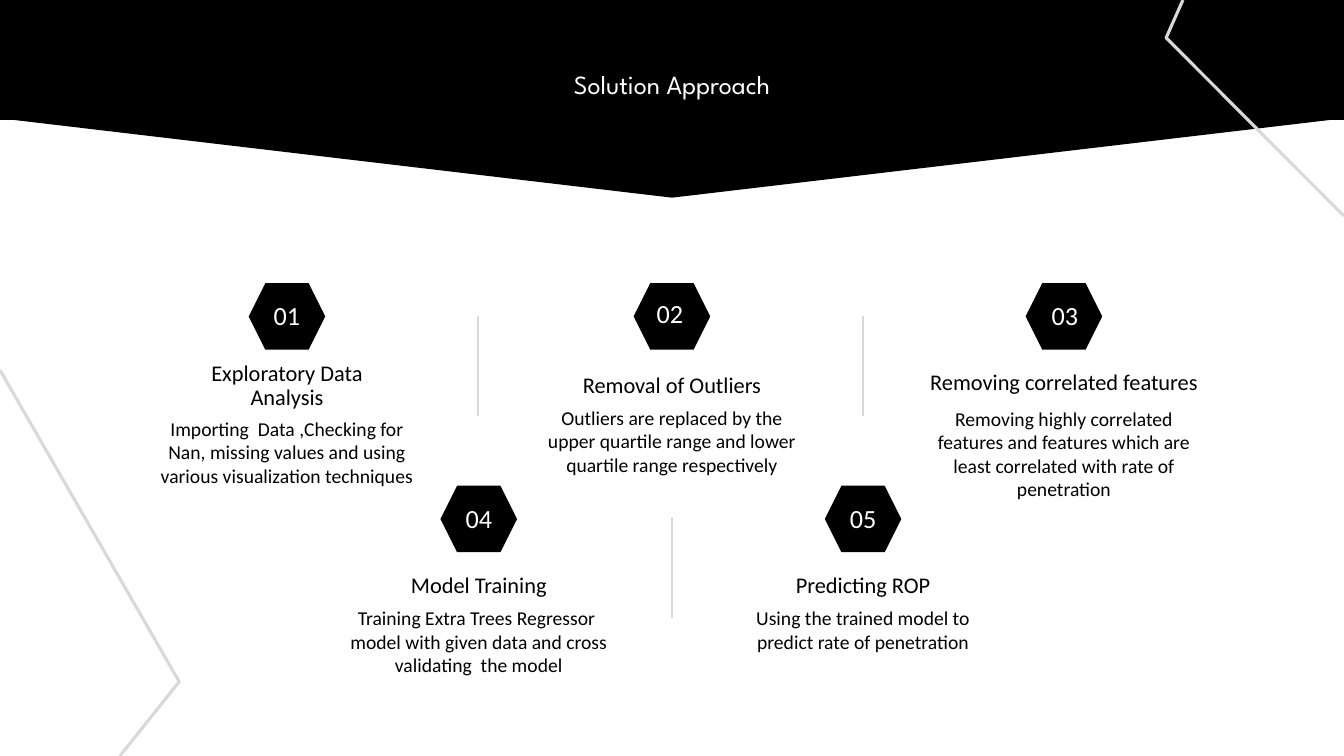
from dataclasses import dataclass

from lxml import etree
from pptx import Presentation
from pptx.dml.color import RGBColor
from pptx.enum.shapes import MSO_CONNECTOR, MSO_SHAPE
from pptx.enum.text import MSO_ANCHOR, MSO_AUTO_SIZE, PP_ALIGN
from pptx.oxml.ns import qn
from pptx.util import Pt

CENTER = PP_ALIGN.CENTER
TOP, MIDDLE = MSO_ANCHOR.TOP, MSO_ANCHOR.MIDDLE
NO_AUTOFIT = MSO_AUTO_SIZE.NONE
STRAIGHT = MSO_CONNECTOR.STRAIGHT
RECTANGLE, HEXAGON = MSO_SHAPE.RECTANGLE, MSO_SHAPE.HEXAGON
TRIANGLE = MSO_SHAPE.ISOSCELES_TRIANGLE


@dataclass(frozen=True)
class Theme:
    black: RGBColor = RGBColor(0, 0, 0)
    white: RGBColor = RGBColor(255, 255, 255)
    grey: RGBColor = RGBColor(0xD9, 0xD9, 0xD9)
    title_font: str = "League Spartan"
    text_font: str = "Calibri"
    title_size: float = 18.7
    heading_size: float = 16
    body_size: float = 14
    inset: float = 9.6
    divider_width: float = 1.5
    outline_width: float = 2.25


THEME = Theme()
PAGE_WIDTH, PAGE_HEIGHT = 960, 540


@dataclass(frozen=True)
class Step:
    """One numbered step; gaps run from the top of its hexagon."""
    center: float
    top: float
    heading: str
    body: str
    heading_gap: float = 41.8
    body_gap: float = 76.5
    number_gap: float = 8.6
    number_shift: float = 0
    heading_width: float = 168


STEPS = (
    Step(205, 202.3, "Exploratory Data Analysis",
         "Importing  Data ,Checking for Nan, missing values and using "
         "various visualization techniques",
         heading_gap=43.2, body_gap=85.7),
    Step(480, 202.3, "Removal of Outliers",
         "Outliers are replaced by the upper quartile range and lower "
         "quartile range respectively",
         heading_gap=43.2, body_gap=77.8, number_gap=7.2, number_shift=-1.5),
    Step(760, 202.3, "Removing correlated features",
         "Removing highly correlated features and features which are "
         "least correlated with rate of penetration",
         heading_gap=41, body_gap=78.5, number_shift=0.7, heading_width=214.5),
    Step(342, 347, "Model Training",
         "Training Extra Trees Regressor  model with given data and cross "
         "validating  the model"),
    Step(616.5, 347, "Predicting ROP",
         "Using the trained model to predict rate of penetration"),
)
DIVIDERS = ((341.3, 225.4), (616.3, 225.4), (480.2, 369.4))
OUTLINES = (
    ((845, 0), (833, 27), (PAGE_WIDTH, 154.3)),
    ((0, 264.3), (128, 487), (85.7, PAGE_HEIGHT)),
)


def points(*lengths):
    return [Pt(length) for length in lengths]


def write_text(shape, text, size, color, font=THEME.text_font,
               anchor=TOP, spacing=None):
    frame = shape.text_frame
    frame.word_wrap = True
    frame.auto_size = NO_AUTOFIT
    frame.vertical_anchor = anchor
    frame.margin_left = frame.margin_right = Pt(THEME.inset)
    frame.margin_top = frame.margin_bottom = Pt(THEME.inset)
    para = frame.paragraphs[0]
    para.alignment = CENTER
    para.line_spacing = spacing
    span = para.add_run()
    span.text = text
    span.font.name = font
    span.font.size = Pt(size)
    span.font.color.rgb = color


def add_black_shape(page, kind, left, top, width, height):
    shape = page.shapes.add_shape(kind, *points(left, top, width, height))
    shape.shadow.inherit = False
    shape.fill.solid()
    shape.fill.fore_color.rgb = THEME.black
    shape.line.fill.background()
    return shape


def add_banner(page, left, top, width, height):
    """Black band with a downward point and the slide title."""
    band_height = 85.7
    add_black_shape(page, RECTANGLE, left, top, width, band_height)
    point_top = top + band_height - 1.2
    point = add_black_shape(page, TRIANGLE, left, point_top,
                            width, top + height - point_top)
    point.rotation = 180

    title = page.shapes.title
    title_width = 313
    title.left, title.top, title.width, title.height = points(
        left + (width - title_width) / 2, top + 41.8, title_width, 72)
    write_text(title, "Solution Approach", THEME.title_size, THEME.white,
               THEME.title_font, spacing=0.9)
    title.element.getparent().append(title.element)  # in front of the band


def add_step(page, number, step):
    def add_label(center, gap, width, height, *style, **options):
        box = page.shapes.add_textbox(
            *points(center - width / 2, step.top + gap, width, height))
        write_text(box, *style, **options)

    hexagon_width = 54.7
    add_black_shape(page, HEXAGON, step.center - hexagon_width / 2, step.top,
                    hexagon_width, 47.5)
    add_label(step.center + step.number_shift, step.number_gap, 78.5, 31.7,
              f"{number:02}", THEME.title_size, THEME.white,
              anchor=MIDDLE, spacing=0.9)
    add_label(step.center, step.heading_gap, step.heading_width, 60.5,
              step.heading, THEME.heading_size, THEME.black,
              anchor=MIDDLE, spacing=0.9)
    add_label(step.center, step.body_gap, 206.6, 59.8,
              step.body, THEME.body_size, THEME.black)


def add_divider(page, x, top, height=72):
    line = page.shapes.add_connector(
        STRAIGHT, *points(x, top, x, top + height))
    line.line.color.rgb = THEME.grey
    line.line.width = Pt(THEME.divider_width)
    etree.SubElement(line.element.spPr, qn("a:effectLst"))


def add_outline(page, corners):
    start, *rest = [points(*corner) for corner in corners]
    builder = page.shapes.build_freeform(*start)
    builder.add_line_segments(rest, close=False)
    outline = builder.convert_to_shape()
    outline.shadow.inherit = False
    outline.fill.background()
    outline.line.color.rgb = THEME.grey
    outline.line.width = Pt(THEME.outline_width)


def add_solution_page(deck):
    page = deck.slides.add_slide(deck.slide_layouts.get_by_name("Title Only"))
    page.background.fill.solid()
    page.background.fill.fore_color.rgb = THEME.white
    add_banner(page, 0, 0, PAGE_WIDTH, 141.2)
    for x, top in DIVIDERS:
        add_divider(page, x, top)
    for number, step in enumerate(STEPS, start=1):
        add_step(page, number, step)
    for corners in OUTLINES:
        add_outline(page, corners)


def main():
    deck = Presentation()
    deck.slide_width, deck.slide_height = points(PAGE_WIDTH, PAGE_HEIGHT)
    add_solution_page(deck)
    deck.save("out.pptx")


if __name__ == "__main__":
    main()
